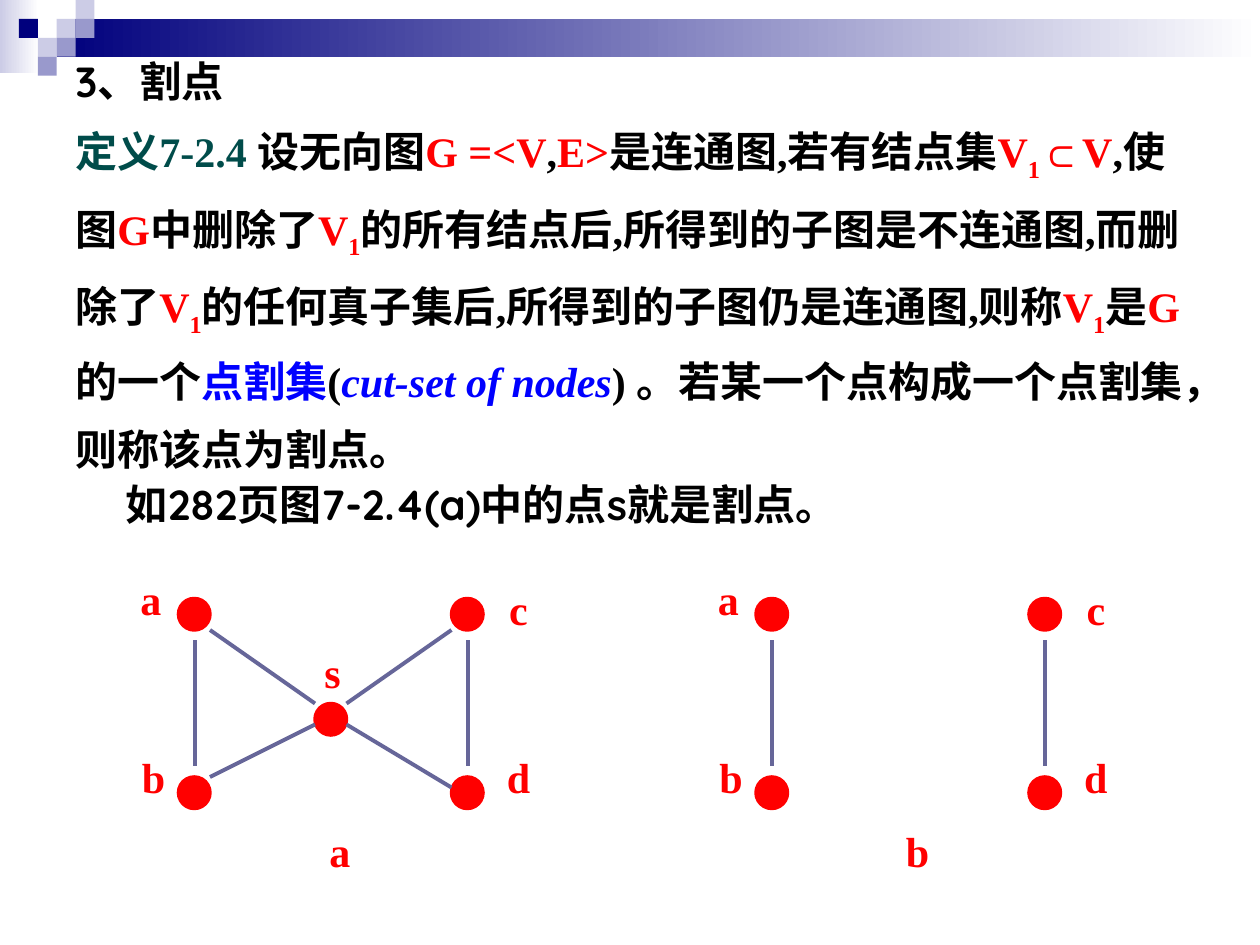
"""Builds a slide that defines cut-sets of nodes and shows two small graphs."""
from lxml.etree import SubElement
from pptx import Presentation
from pptx.dml.color import RGBColor
from pptx.enum.shapes import MSO_CONNECTOR, MSO_SHAPE
from pptx.enum.text import MSO_AUTO_SIZE, PP_ALIGN
from pptx.oxml.ns import qn
from pptx.util import Inches, Pt

BLACK, RED, BLUE, TEAL = "000000", "FF0000", "0000FF", "004C4A"
NAVY, LILAC, VIOLET, SLATE, WHITE = "00007D", "CCCCE6", "9999CC", "666699", "FFFFFF"
SERIF, ROUND, SANS, CJK = "Times New Roman", "Quicksand", "Arial", "Noto Sans CJK SC"


def color(hex_text):
    """Turn a hex string into a colour."""
    return RGBColor.from_string(hex_text)


def add_run(p, text, ink=BLACK, font=SERIF, italic=False, sub=False):
    """Add one formatted run to a paragraph."""
    r = p.add_run()
    r.text = text
    r.font.size, r.font.bold, r.font.italic = Pt(24), True, italic
    r.font.name = font
    r.font.color.rgb = color(ink)
    r_pr = r.font._element
    SubElement(r_pr, qn("a:ea")).set("typeface", CJK)
    if sub:
        r_pr.set("baseline", "-25000")


class Board:
    """Draws on one slide with a grid of 120 columns by 90 rows."""

    def __init__(self, prs):
        """Set the slide size and add a blank slide."""
        prs.slide_width, prs.slide_height = Inches(10), Inches(7.5)
        self.w, self.h = prs.slide_width / 120, prs.slide_height / 90
        self.s = prs.slides.add_slide(prs.slide_layouts[6])

    def place(self, col, row, *size):
        """Convert grid columns and rows to lengths."""
        units = (self.w, self.h) * 2
        return [round(n * u) for n, u in zip((col, row, *size), units)]

    def shape(self, kind, box, fill, fade=False, edge=None):
        """Add a preset shape with a plain or fading fill."""
        sp = self.s.shapes.add_shape(kind, *self.place(*box))
        sp.shadow.inherit = False
        if fade:
            sp.fill.gradient()
            sp.fill.gradient_angle = 0
            for stop, ink, pos in zip(sp.fill.gradient_stops, (fill, WHITE), (0, 1)):
                stop.color.rgb, stop.position = color(ink), pos
        else:
            sp.fill.solid()
            sp.fill.fore_color.rgb = color(fill)
        if edge:
            sp.line.color.rgb, sp.line.width = color(fill), Pt(edge)
        else:
            sp.line.fill.background()

    def text(self, box, paragraphs, spacing=None, align=PP_ALIGN.LEFT):
        """Add a text box from lists of (text, format) runs."""
        tf = self.s.shapes.add_textbox(*self.place(*box)).text_frame
        tf.word_wrap, tf.auto_size = True, MSO_AUTO_SIZE.SHAPE_TO_FIT_TEXT
        for i, runs in enumerate(paragraphs):
            p = tf.add_paragraph() if i else tf.paragraphs[0]
            p.alignment = align
            if spacing:
                p.line_spacing = spacing
            for text, style in runs:
                add_run(p, text, **style)

    def label(self, col, row, text):
        """Add a centred red label."""
        self.text((col, row, 6.75, 6), [[(text, {"ink": RED})]], align=PP_ALIGN.CENTER)

    def node(self, col, row):
        """Add a graph node."""
        self.shape(MSO_SHAPE.OVAL, (col, row, 3, 3), RED, edge=2)

    def edge(self, start, end):
        """Add a graph edge."""
        cn = self.s.shapes.add_connector(
            MSO_CONNECTOR.STRAIGHT, *self.place(*start), *self.place(*end))
        cn.line.color.rgb, cn.line.width = color(SLATE), Pt(2.25)
        SubElement(cn._element.spPr, qn("a:effectLst"))

    def side(self, col, names, top_label, bottom_label):
        """Add a column of two joined nodes with their labels."""
        for row, name, spot in zip((57, 74), names, (top_label, bottom_label)):
            self.node(col, row)
            self.label(col + spot[0], spot[1], name)
        self.edge((col + 1.55, 61), (col + 1.55, 73))

    def graph(self, left, right, caption, caption_col):
        """Add the a-b and c-d sides of a graph and its caption."""
        self.side(left, "ab", (-6, 54), (-5.75, 71))
        self.side(right, "cd", (3, 55), (3, 71))
        self.label(caption_col, 78, caption)


def draw_header(board):
    """Draw the fading bar and the small squares at the top."""
    board.shape(MSO_SHAPE.RECTANGLE, (0, 0, 3.7, 7), LILAC, fade=True)
    board.shape(MSO_SHAPE.RECTANGLE, (5.4, 1.8, 114.6, 3.6), NAVY, fade=True)
    squares = [(3, 1, LILAC), (4, 0, LILAC), (4, 1, VIOLET), (2, 2, LILAC),
               (1, 1, NAVY), (3, 2, VIOLET), (2, 3, VIOLET)]
    for col, row, fill in squares:
        box = (1.8 * col, 1.8 * row, 1.8, 1.8)
        board.shape(MSO_SHAPE.RECTANGLE, box, fill)


def draw_definition(board):
    """Write the heading, the definition and the example."""
    plain, red, rounded = {}, {"ink": RED}, {"font": ROUND}
    v1 = [("V", red), ("1", {"ink": RED, "sub": True})]
    definition = [
        ("定义7-2.4 ", {"ink": TEAL}), ("设无向图", plain), ("G =<V", red),
        (",", plain), ("E>", red), ("是连通图,若有结点集", plain),
        *v1, ("⊂", {"ink": RED, "font": SANS}), ("V", red), (",使图", plain),
        ("G", red), ("中删除了", plain),
        *v1, ("的所有结点后,所得到的子图是不连通图,而删除了", plain),
        *v1, ("的任何真子集后,所得到的子图仍是连通图,则称", plain),
        *v1, ("是", plain), ("G", red), ("的一个", {"font": CJK}),
        ("点割集", {"ink": BLUE, "font": CJK}), ("(", plain),
        ("cut-set of nodes", {"ink": BLUE, "italic": True}), (") 。", plain),
        ("若某一个点构成一个点割集，则称该点为割点。", rounded),
    ]
    board.text((6, 3, 108, 42.7), [[("3、割点", rounded)], definition], spacing=1.35)
    example = "如282页图7-2.4(a)中的点s就是割点。"
    board.text((10.8, 45, 75.4, 6), [[(example, rounded)]])


def draw_graphs(board):
    """Draw the graph with its cut node and the graph without it."""
    board.graph(17, 43, "a", 29)
    board.node(30, 67)
    board.label(28.3, 61, "s")
    for start, end in [((20, 60), (30, 67)), ((33, 69), (43, 75)),
                       ((20, 74), (30, 69)), ((33, 67), (43, 60))]:
        board.edge(start, end)
    board.graph(72, 98, "b", 84)


def main():
    """Build and save the slide."""
    prs = Presentation()
    board = Board(prs)
    draw_header(board)
    draw_definition(board)
    draw_graphs(board)
    prs.save("out.pptx")


if __name__ == "__main__":
    main()
